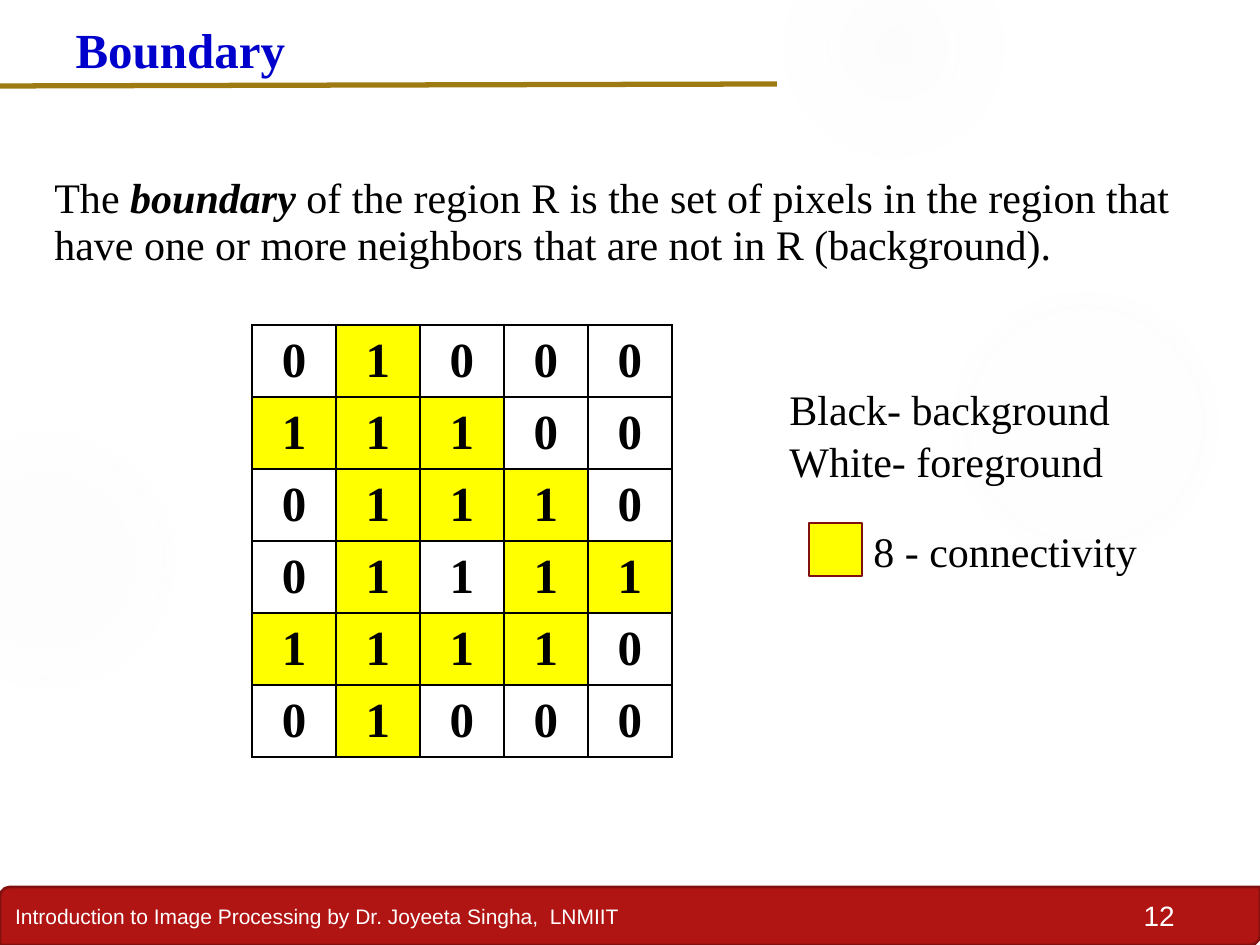
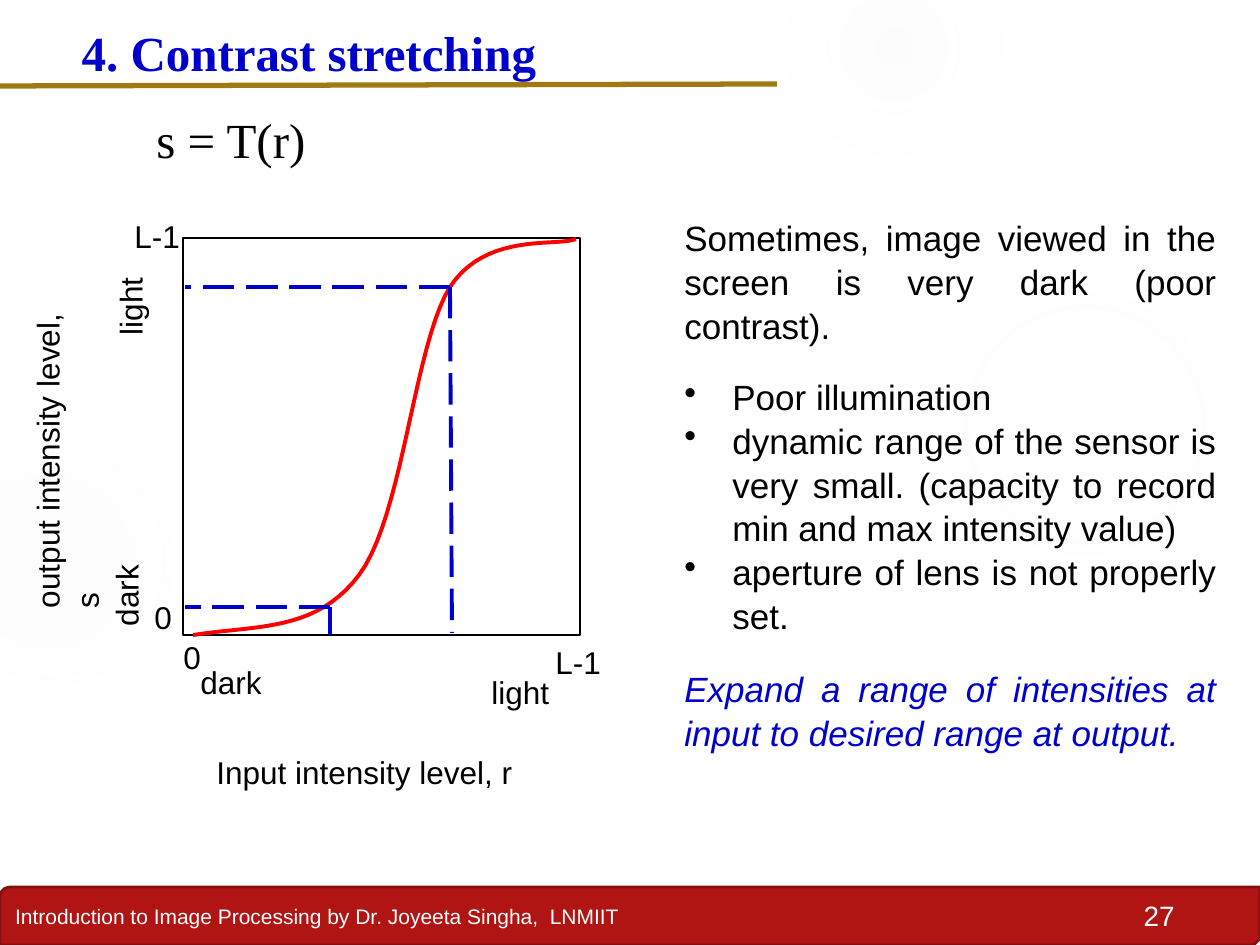
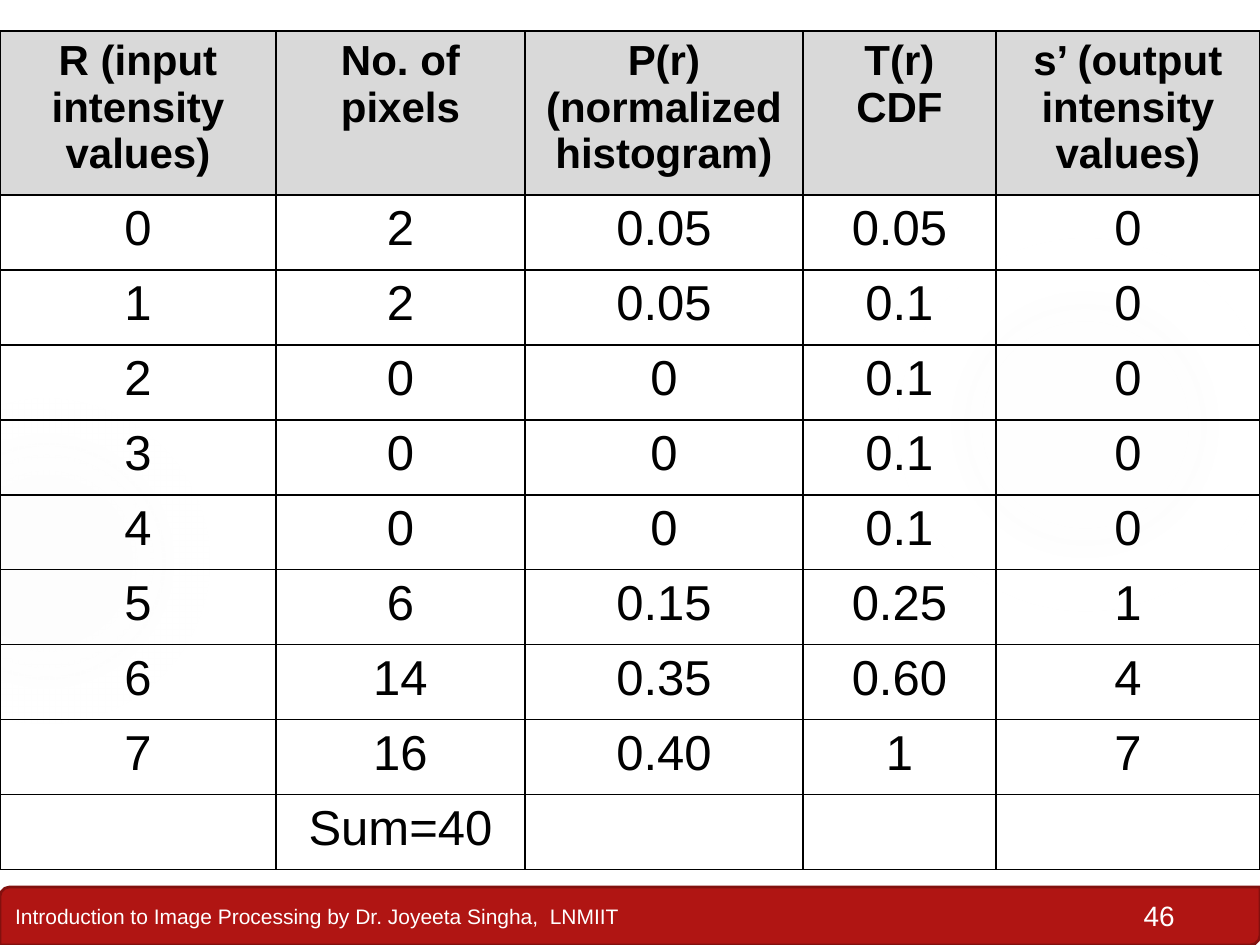
import dataclasses

import lxml.etree
import pptx
import pptx.dml.color
import pptx.enum.dml
import pptx.enum.shapes
import pptx.enum.text
import pptx.oxml
import pptx.util

PX = 7257  # EMU in one px, 126 px to the inch
NAMESPACE = "http://schemas.openxmlformats.org/drawingml/2006/main"
SHAPE = pptx.enum.shapes.MSO_SHAPE
ALIGN = pptx.enum.text.PP_ALIGN
ANCHOR = pptx.enum.text.MSO_ANCHOR
RGB = pptx.dml.color.RGBColor.from_string


@dataclasses.dataclass(frozen=True)
class Theme:
    sans: str = "Arial"
    serif: str = "Times New Roman"
    black: str = "000000"
    white: str = "FFFFFF"
    blue: str = "0000CC"
    red: str = "FF0000"
    yellow: str = "FFFF00"
    header: str = "D9D9D9"
    band: str = "B01513"
    band_edge: str = "82100E"
    rule: str = "9E7B12"
    glow: str = "F3F3F3"
    footer_size: int = 12
    number_size: int = 16
    label_size: int = 18
    body_size: int = 20
    reading_size: int = 24
    title_size: int = 28
    line_spacing: float = 1.04


theme = Theme()


def write_text(frame, text, size=theme.label_size, font=theme.sans, color=theme.black,
               bold=False, italic=False, emphasis="", align=ALIGN.LEFT,
               spacing=theme.line_spacing, before=0, bullet=False):
    """Add one paragraph per line of text; the emphasis phrase becomes bold italic."""
    for line in text.split("\n"):
        paragraph = frame.paragraphs[0]
        if paragraph.runs:
            paragraph = frame.add_paragraph()
        if bullet:
            properties = paragraph._p.get_or_add_pPr()
            properties.set("marL", str(48 * PX))
            properties.set("indent", str(-48 * PX))
            lxml.etree.SubElement(properties, f"{{{NAMESPACE}}}buChar", char="•")
        paragraph.alignment = align
        paragraph.line_spacing = spacing
        paragraph.space_before = pptx.util.Pt(before)
        parts = line.partition(emphasis) if emphasis else [line]
        for part in filter(None, parts):
            run = paragraph.add_run()
            run.text = part
            run.font.name = font
            run.font.size = pptx.util.Pt(size)
            run.font.color.rgb = RGB(color)
            run.font.bold = bold or part == emphasis
            run.font.italic = italic or part == emphasis


def draw_line(slide, start, end, color, width, dashed=False):
    ends = [value * PX for value in (*start, *end)]
    connector = slide.shapes.add_connector(pptx.enum.shapes.MSO_CONNECTOR.STRAIGHT, *ends)
    connector.line.color.rgb = RGB(color)
    connector.line.width = pptx.util.Pt(width)
    if dashed:
        connector.line.dash_style = pptx.enum.dml.MSO_LINE.LONG_DASH
    lxml.etree.SubElement(connector._element.spPr, f"{{{NAMESPACE}}}effectLst")


presentation = pptx.Presentation()
presentation.slide_width = 1260 * PX
presentation.slide_height = 945 * PX

# Shared parts: glows, title with rule, footer band, slide number
# Each glow: box, then (position, opacity) stops in percent
glows = [
    ((891, 231, 388, 388), [(0, 7), (36, 6), (69, 0)]),
    ((-116, 399, 325, 325), [(0, 8), (36, 8), (72, 0)]),
    ((784, -63, 220, 220), [(0, 14), (36, 7), (73, 0)]),
]
slide_heads = [
    ("12", "Boundary", (63, 11, 494, 72)),
    ("27", "4. Contrast stretching", (69, 14, 645, 72)),
    ("46", None, None),
]
for number, title, title_box in slide_heads:
    slide = presentation.slides.add_slide(presentation.slide_layouts[5 if title else 6])
    for box, stops in glows if title else glows[:2]:
        glow = slide.shapes.add_shape(SHAPE.OVAL, *[value * PX for value in box])
        glow.shadow.inherit = False
        glow.line.fill.background()
        glow.fill.background()
        stop_xml = "".join(
            f'<a:gs pos="{position * 1000}"><a:srgbClr val="{theme.glow}">'
            f'<a:alpha val="{opacity * 1000}"/></a:srgbClr></a:gs>'
            for position, opacity in stops)
        gradient = pptx.oxml.parse_xml(
            f'<a:gradFill xmlns:a="{NAMESPACE}"><a:gsLst>{stop_xml}</a:gsLst><a:path path="circle">'
            '<a:fillToRect l="50000" t="50000" r="50000" b="50000"/></a:path></a:gradFill>')
        properties = glow._element.spPr
        properties.replace(properties.find(f"{{{NAMESPACE}}}noFill"), gradient)

    band = slide.shapes.add_shape(SHAPE.ROUND_2_DIAG_RECTANGLE, 0, 887 * PX, 1260 * PX, 58 * PX)
    band.shadow.inherit = False
    band.fill.solid()
    band.fill.fore_color.rgb = RGB(theme.band)
    band.line.color.rgb = RGB(theme.band_edge)
    band.line.width = pptx.util.Pt(1.5)
    band.text_frame.vertical_anchor = ANCHOR.MIDDLE
    write_text(band.text_frame, "Introduction to Image Processing by Dr. Joyeeta Singha,  LNMIIT",
               size=theme.footer_size, color=theme.white, spacing=1.0)
    number_box = slide.shapes.add_textbox(1092 * PX, 892 * PX, 95 * PX, 47 * PX)
    number_box.text_frame.word_wrap = True
    write_text(number_box.text_frame, number, size=theme.number_size, color=theme.white,
               align=ALIGN.RIGHT, spacing=1.0)

    if title:
        draw_line(slide, (-2, 86), (777, 84), theme.rule, 3)
        heading = slide.shapes.title
        heading.left, heading.top, heading.width, heading.height = [
            value * PX for value in title_box]
        heading.text_frame.vertical_anchor = ANCHOR.TOP
        heading.text_frame.auto_size = pptx.enum.text.MSO_AUTO_SIZE.NONE
        write_text(heading.text_frame, title, size=theme.title_size, font=theme.serif,
                   color=theme.blue, bold=True)

boundary_slide, contrast_slide, histogram_slide = presentation.slides

# Plot frame and colour key
for slide, box, fill, edge, width in [
    (boundary_slide, (809, 523, 53, 53), theme.yellow, theme.band_edge, 1.5),
    (contrast_slide, (183, 238, 397, 397), theme.white, theme.black, 0.75),
]:
    rectangle = slide.shapes.add_shape(SHAPE.RECTANGLE, *[value * PX for value in box])
    rectangle.shadow.inherit = False
    rectangle.fill.solid()
    rectangle.fill.fore_color.rgb = RGB(fill)
    rectangle.line.color.rgb = RGB(edge)
    rectangle.line.width = pptx.util.Pt(width)

# Transfer curve: a start point and three cubic segments
curve_start = (193, 635)
curve_segments = [
    ((257, 625), (316, 632), (359, 575)),
    ((403, 517), (414, 344), (450, 287)),
    ((486, 232), (556, 247), (576, 239)),
]
steps = 20
curve_points = []
anchor = curve_start
for first, second, end in curve_segments:
    for step in range(1, steps + 1):
        t = step / steps
        weights = ((1 - t) ** 3, 3 * t * (1 - t) ** 2, 3 * t * t * (1 - t), t ** 3)
        controls = (anchor, first, second, end)
        curve_points.append(tuple(
            round(PX * sum(weight * point[axis] for weight, point in zip(weights, controls)))
            for axis in (0, 1)))
    anchor = end
builder = contrast_slide.shapes.build_freeform(curve_start[0] * PX, curve_start[1] * PX)
builder.add_line_segments(curve_points, close=False)
curve = builder.convert_to_shape()
curve.shadow.inherit = False
curve.fill.background()
curve.line.color.rgb = RGB(theme.red)
curve.line.width = pptx.util.Pt(2.25)

for start, end in [
    ((330, 607), (330, 635)),
    ((450, 287), (452, 633)),
    ((330, 607), (185, 607)),
    ((450, 287), (185, 287)),
]:
    draw_line(contrast_slide, start, end, theme.blue, 2.25, dashed=True)

# Axis labels: text, box, rotation
for text, box, rotation in [
    ("0", (142, 590, 43, 50), 0),
    ("0", (171, 630, 43, 50), 0),
    ("L-1", (122, 209, 72, 50), 0),
    ("L-1", (543, 635, 72, 50), 0),
    ("dark", (188, 655, 87, 50), 0),
    ("light", (479, 665, 83, 50), 0),
    ("dark", (81, 570, 87, 50), 270),
    ("light", (87, 281, 83, 50), 270),
    ("Input intensity level, r", (204, 745, 321, 50), 0),
    ("output intensity level, s", (-126, 424, 343, 50), 270),
]:
    label = contrast_slide.shapes.add_textbox(*[value * PX for value in box])
    label.rotation = rotation
    label.text_frame.word_wrap = False
    write_text(label.text_frame, text)

# Running text: slide, box, then (text, format) for each part
serif = {"font": theme.serif, "size": theme.reading_size}
justified = {"size": theme.body_size, "align": ALIGN.JUSTIFY}
for slide, box, parts in [
    (boundary_slide, (42, 169, 1197, 105), [
        ("The boundary of the region R is the set of pixels in the region that "
         "have one or more neighbors that are not in R (background).",
         {**serif, "emphasis": "boundary ", "spacing": 0.94})]),
    (boundary_slide, (777, 375, 399, 165), [("Black- background\nWhite- foreground", serif)]),
    (boundary_slide, (861, 517, 325, 63), [("8 - connectivity", serif)]),
    (contrast_slide, (144, 101, 302, 72), [
        ("s = T(r)", {"font": theme.serif, "size": theme.title_size})]),
    (contrast_slide, (672, 209, 557, 425), [
        ("Sometimes, image viewed in the screen is very dark (poor contrast).", justified),
        ("Poor illumination", {**justified, "bullet": True, "before": 16}),
        ("dynamic range of the sensor is very small. (capacity to record min and max "
         "intensity value)\naperture of lens is not properly set.",
         {**justified, "bullet": True})]),
    (contrast_slide, (672, 660, 557, 97), [
        ("Expand a range of intensities at input to desired range at output.",
         {**justified, "color": theme.blue, "italic": True})]),
]:
    text_box = slide.shapes.add_textbox(*[value * PX for value in box])
    text_box.text_frame.word_wrap = True
    for text, text_format in parts:
        write_text(text_box.text_frame, text, **text_format)

# Tables
region_rows = ["01000", "11100", "01110", "01111", "11110", "01000"]
interior = (3, 2)
boundary_fills = {
    (row, column): theme.yellow
    for row, digits in enumerate(region_rows)
    for column, digit in enumerate(digits)
    if digit == "1" and (row, column) != interior}
histogram_rows = [
    ["R (input intensity values)", "No. of pixels", "P(r) (normalized histogram)",
     "T(r)\nCDF", "s’ (output intensity values)"],
    ["0", "2", "0.05", "0.05", "0"],
    ["1", "2", "0.05", "0.1", "0"],
    ["2", "0", "0", "0.1", "0"],
    ["3", "0", "0", "0.1", "0"],
    ["4", "0", "0", "0.1", "0"],
    ["5", "6", "0.15", "0.25", "1"],
    ["6", "14", "0.35", "0.60", "4"],
    ["7", "16", "0.40", "1", "7"],
    ["", "Sum=40", "", "", ""],
]
header_fills = {(0, column): theme.header for column in range(5)}
for slide, corner, widths, heights, rows, fills, font, cell_anchor in [
    (boundary_slide, (252, 325), [84] * 5, [72] * 6, region_rows, boundary_fills,
     theme.serif, ANCHOR.MIDDLE),
    (histogram_slide, (0, 31), [276, 249, 278, 193, 264], [164] + [75] * 9, histogram_rows,
     header_fills, theme.sans, ANCHOR.TOP),
]:
    box = (*corner, sum(widths), sum(heights))
    table = slide.shapes.add_table(len(heights), len(widths), *[value * PX for value in box]).table
    table.first_row = table.horz_banding = False
    for column, width in zip(table.columns, widths):
        column.width = width * PX
    for row_index, (height, values) in enumerate(zip(heights, rows)):
        table.rows[row_index].height = height * PX
        for column_index, value in enumerate(values):
            cell = table.cell(row_index, column_index)
            for side in "LRTB":
                cell._tc.get_or_add_tcPr().append(pptx.oxml.parse_xml(
                    f'<a:ln{side} xmlns:a="{NAMESPACE}" w="12700"><a:solidFill>'
                    f'<a:srgbClr val="{theme.black}"/></a:solidFill></a:ln{side}>'))
            fill = fills.get((row_index, column_index))
            if fill:
                cell.fill.solid()
                cell.fill.fore_color.rgb = RGB(fill)
            else:
                cell.fill.background()
            cell.vertical_anchor = cell_anchor
            is_header = fill == theme.header
            write_text(cell.text_frame, value, font=font, align=ALIGN.CENTER, spacing=1.0,
                       size=theme.reading_size if is_header else theme.title_size,
                       bold=is_header or slide is boundary_slide)

presentation.save("out.pptx")
